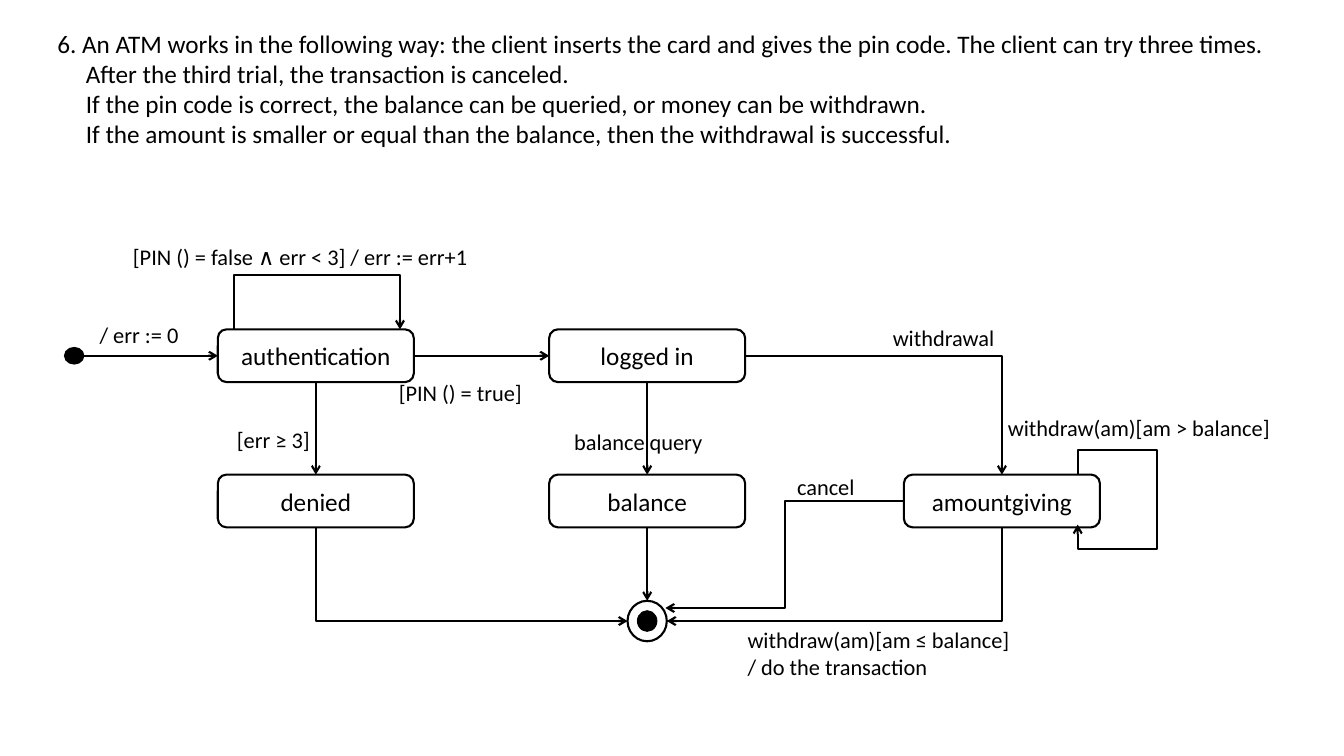
"""Build a slide with the state diagram of a cash machine."""
from dataclasses import dataclass

from lxml import etree
from pptx import Presentation
from pptx.dml.color import RGBColor
from pptx.enum import shapes as kinds, text as texts
from pptx.oxml.ns import qn
from pptx.util import Cm, Pt

FONT = "Calibri"
BLACK, WHITE = "000000", "FFFFFF"
STATE_W, STATE_H = 4.94, 1.33
COLUMNS = LEFT, MIDDLE, RIGHT = 5.49, 13.84, 22.78
LEFT_X, MIDDLE_X, RIGHT_X = (column + STATE_W / 2 for column in COLUMNS)
TOP, LOWER = 8.3, 11.96
TOP_Y, LOWER_Y = TOP + STATE_H / 2, LOWER + STATE_H / 2
TOP_END, LOWER_END = TOP + STATE_H, LOWER + STATE_H
DOT_W = 0.48
RING_W, RING_H = 0.99, 1.02
START_X, FINAL_Y = 1.87, 15.65
RING_LEFT, RING_RIGHT = MIDDLE_X - RING_W / 2, MIDDLE_X + RING_W / 2
LOOP_LEFT, LOOP_RIGHT, LOOP_TOP = 5.89, 10.08, 6.94
RETRY_X, RETRY_OUT, RETRY_TOP, RETRY_BOTTOM = 27.16, 29.16, 11.33, 13.84
CANCEL_X, CANCEL_Y = 19.78, 15.32


@dataclass(frozen=True)
class State:
    """A named state and its top left corner."""
    name: str
    left: float
    top: float


@dataclass(frozen=True)
class Disc:
    """An ellipse given by its centre and size."""
    x: float
    y: float
    width: float
    height: float
    fill: str | None
    line_width: float


@dataclass(frozen=True)
class Label:
    """The wording beside a transition."""
    wording: str
    left: float
    top: float
    width: float
    height: float = 0.94


STATES = [
    State("authentication", LEFT, TOP),
    State("logged in", MIDDLE, TOP),
    State("denied", LEFT, LOWER),
    State("balance", MIDDLE, LOWER),
    State("amountgiving", RIGHT, LOWER),
]
DISCS = [
    Disc(START_X, TOP_Y, DOT_W, 0.41, BLACK, 1),
    Disc(MIDDLE_X, FINAL_Y, RING_W, RING_H, None, 1.5),
    Disc(MIDDLE_X, FINAL_Y, DOT_W, 0.51, BLACK, 1),
]
TRANSITIONS = [
    [(START_X + DOT_W / 2, TOP_Y), (LEFT, TOP_Y)],
    [(LOOP_LEFT, TOP), (LOOP_LEFT, LOOP_TOP), (LOOP_RIGHT, LOOP_TOP), (LOOP_RIGHT, TOP)],
    [(LEFT + STATE_W, TOP_Y), (MIDDLE, TOP_Y)],
    [(LEFT_X, TOP_END), (LEFT_X, LOWER)],
    [(MIDDLE_X, TOP_END), (MIDDLE_X, LOWER)],
    [(MIDDLE + STATE_W, TOP_Y), (RIGHT_X, TOP_Y), (RIGHT_X, LOWER)],
    [(RETRY_X, LOWER), (RETRY_X, RETRY_TOP), (RETRY_OUT, RETRY_TOP),
     (RETRY_OUT, RETRY_BOTTOM), (RETRY_X, RETRY_BOTTOM), (RETRY_X, 13.22)],
    [(LEFT_X, LOWER_END), (LEFT_X, FINAL_Y), (RING_LEFT, FINAL_Y)],
    [(MIDDLE_X, LOWER_END), (MIDDLE_X, FINAL_Y - RING_H / 2)],
    [(RIGHT_X, LOWER_END), (RIGHT_X, FINAL_Y), (RING_RIGHT, FINAL_Y)],
    [(RIGHT, LOWER_Y), (CANCEL_X, LOWER_Y), (CANCEL_X, CANCEL_Y), (16.77, CANCEL_Y)],
]
LABELS = [
    Label("[PIN () = false ∧ err < 3] / err := err+1", 3.1, 5.99, 8.99),
    Label("/ err := 0", 2.26, 7.98, 2.54),
    Label("[PIN () = true]", 9.8, 9.42, 3.66),
    Label("withdrawal", 22.25, 8.05, 3.1),
    Label("[err ≥ 3]", 5.72, 10.62, 2.39),
    Label("balance query", 14.22, 10.67, 3.78),
    Label("withdraw(am)[am > balance]", 25.15, 10.31, 7.19),
    Label("cancel", 19.84, 11.79, 1.98),
    Label("withdraw(am)[am ≤ balance]\n/ do the transaction", 18.59, 15.65, 7.32, 1.63),
]
TASK = "\v".join([
    "6. An ATM works in the following way: the client inserts the card and gives the pin code. "
    "The client can try three times.",
    "After the third trial, the transaction is canceled.",
    "If the pin code is correct, the balance can be queried, or money can be withdrawn.",
    "If the amount is smaller or equal than the balance, then the withdrawal is successful.",
])


def paint(color_format, color: str) -> None:
    """Apply a hex colour to a fill, line or font colour."""
    color_format.rgb = RGBColor.from_string(color)


def write(frame, wording: str, size: float, align) -> None:
    """Put styled wording into a text frame."""
    frame.text = wording
    for paragraph in frame.paragraphs:
        paragraph.alignment = align
        paragraph.font.size = Pt(size)
        paragraph.font.name = FONT
        paint(paragraph.font.color, BLACK)


def add_outlined(slide, preset, box: tuple[float, ...], fill: str | None, line_width: float):
    """Draw a preset shape with a black outline and return it."""
    outlined = slide.shapes.add_shape(preset, *map(Cm, box))
    outlined.shadow.inherit = False
    if fill is None:
        outlined.fill.background()
    else:
        outlined.fill.solid()
        paint(outlined.fill.fore_color, fill)
    outlined.line.width = Pt(line_width)
    paint(outlined.line.color, BLACK)
    return outlined


def add_state(slide, state: State) -> None:
    """Draw a rounded state box with its name."""
    box = (state.left, state.top, STATE_W, STATE_H)
    rounded = add_outlined(slide, kinds.MSO_SHAPE.ROUNDED_RECTANGLE, box, WHITE, 1.5)
    rounded.text_frame.vertical_anchor = texts.MSO_ANCHOR.MIDDLE
    write(rounded.text_frame, state.name, 18, texts.PP_ALIGN.CENTER)


def add_disc(slide, disc: Disc) -> None:
    """Draw an ellipse around its centre."""
    box = (disc.x - disc.width / 2, disc.y - disc.height / 2, disc.width, disc.height)
    add_outlined(slide, kinds.MSO_SHAPE.OVAL, box, disc.fill, disc.line_width)


def add_transition(slide, stops: list[tuple[float, float]]) -> None:
    """Draw an arrow through the stops, straight or with corners."""
    points = [(Cm(x), Cm(y)) for x, y in stops]
    if len(points) == 2:
        arrow = slide.shapes.add_connector(kinds.MSO_CONNECTOR.STRAIGHT, *points[0], *points[1])
    else:
        builder = slide.shapes.build_freeform(*points[0])
        builder.add_line_segments(points[1:], close=False)
        arrow = builder.convert_to_shape()
        arrow.fill.background()
    arrow.line.width = Pt(1.5)
    paint(arrow.line.color, BLACK)
    properties = arrow.element.spPr
    etree.SubElement(properties.find(qn("a:ln")), qn("a:tailEnd"), type="arrow")
    etree.SubElement(properties, qn("a:effectLst"))


def add_label(slide, label: Label) -> None:
    """Write the wording of a transition."""
    box = map(Cm, (label.left, label.top, label.width, label.height))
    frame = slide.shapes.add_textbox(*box).text_frame
    frame.word_wrap = False
    write(frame, label.wording, 16, texts.PP_ALIGN.LEFT)


def add_task(slide) -> None:
    """Write the exercise into the title with a hanging indent."""
    title = slide.shapes.title
    title.left, title.top, title.width, title.height = map(Cm, (1.19, 0.58, 31.29, 3.33))
    frame = title.text_frame
    frame.word_wrap = True
    frame.auto_size = texts.MSO_AUTO_SIZE.NONE
    frame.vertical_anchor = texts.MSO_ANCHOR.TOP
    write(frame, TASK, 18, texts.PP_ALIGN.LEFT)
    paragraph = frame.paragraphs[0]
    paragraph.line_spacing = 1.0
    indent = paragraph._p.get_or_add_pPr()
    indent.set("marL", str(Cm(0.72)))
    indent.set("indent", str(-Cm(0.72)))


def main() -> None:
    """Build and save the presentation."""
    deck = Presentation()
    deck.slide_width, deck.slide_height = Cm(33.87), Cm(19.05)
    slide = deck.slides.add_slide(deck.slide_layouts.get_by_name("Title Only"))
    add_task(slide)
    for draw, parts in ((add_state, STATES), (add_disc, DISCS),
                        (add_transition, TRANSITIONS), (add_label, LABELS)):
        for part in parts:
            draw(slide, part)
    deck.save("out.pptx")


if __name__ == "__main__":
    main()
